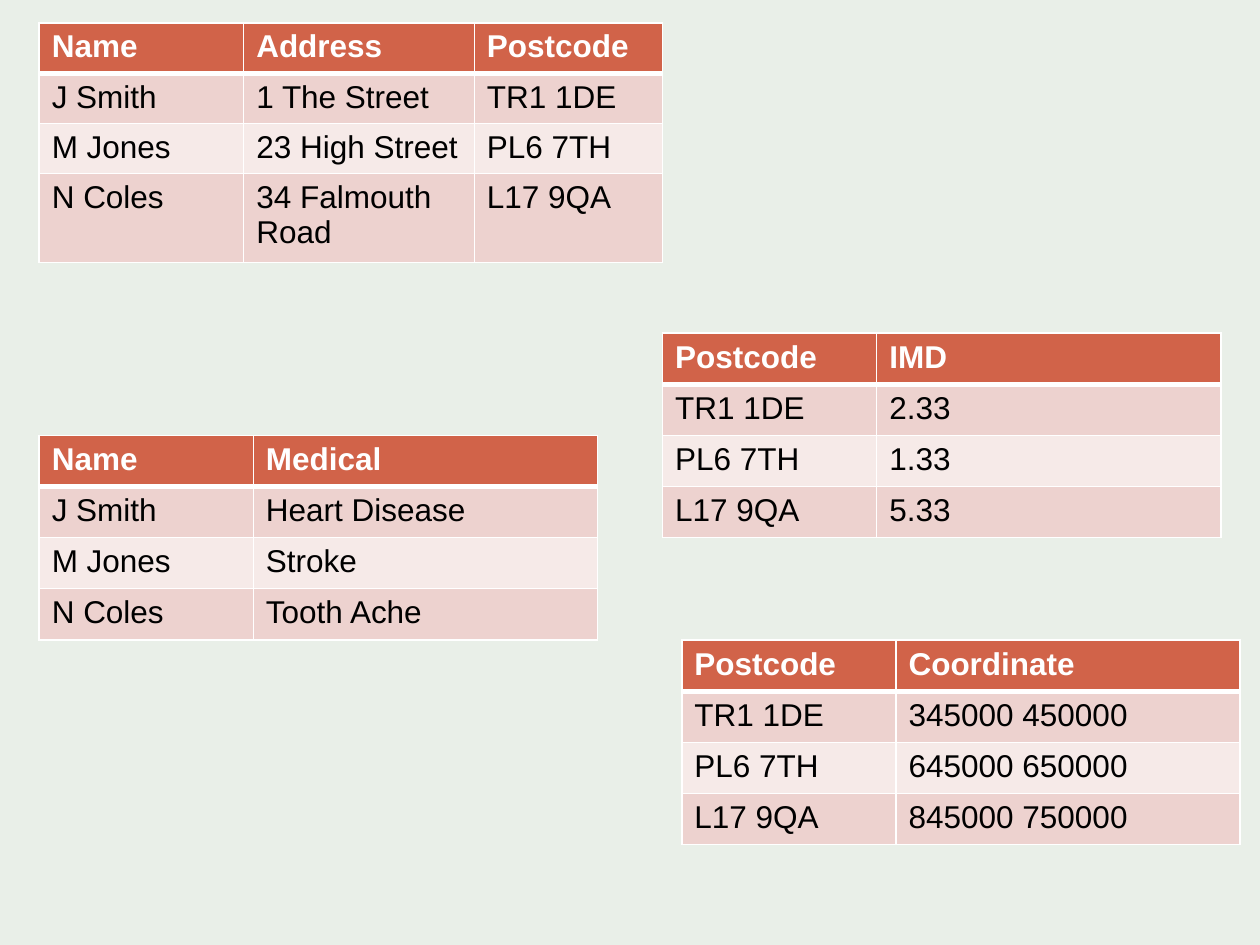
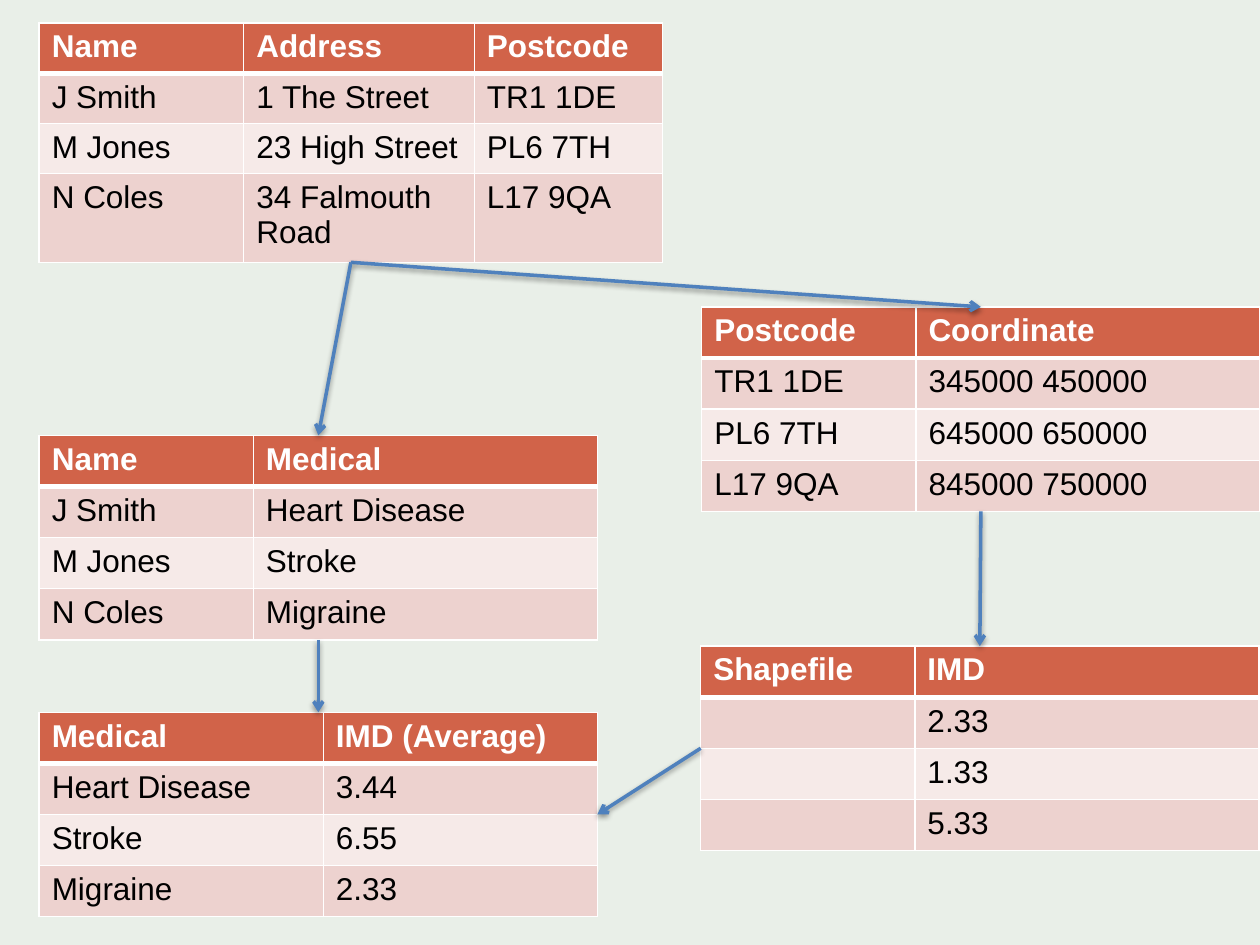
from dataclasses import dataclass, replace

from lxml.etree import SubElement
from pptx import Presentation
from pptx.dml.color import RGBColor
from pptx.enum.shapes import MSO_CONNECTOR
from pptx.oxml.ns import qn
from pptx.slide import Slide
from pptx.table import _Cell
from pptx.util import Pt


# Theme: colours, type sizes and line widths
@dataclass(frozen=True)
class Theme:
    background: str = "E9EFE8"
    header: str = "D16349"
    bands: tuple[str, str] = ("EDD2CF", "F6EAE8")
    header_text: str = "FFFFFF"
    body_text: str = "000000"
    border: str = "FFFFFF"
    arrow: str = "4F81BD"
    shadow: str = "000000"
    font: str = "Arial"
    size: float = 18
    thin: float = 0.96
    thick: float = 3
    arrow_width: float = 2


THEME = Theme()
Point = tuple[float, float]


# Repeated elements, all lengths in points
@dataclass(frozen=True)
class DataTable:
    left: float
    top: float
    cells: tuple[tuple[str, ...], ...]
    cols: tuple[float, ...] = (122.4, 196.6)
    rows: tuple[float, ...] = (29.2,) * 4

    @property
    def width(self) -> float:
        return sum(self.cols)

    @property
    def height(self) -> float:
        return sum(self.rows)

    def anchor(self, x: float, y: float) -> Point:
        """Point at the given fractions of the table's width and height."""
        return self.left + x * self.width, self.top + y * self.height


@dataclass(frozen=True)
class Arrow:
    start: Point
    end: Point


TOP, BOTTOM, LEFT, RIGHT = (0.5, 0), (0.5, 1), (0, 0.5), (1, 0.5)


def link(source: DataTable, side: Point, target: DataTable, target_side: Point) -> Arrow:
    return Arrow(source.anchor(*side), target.anchor(*target_side))


# Drawing functions
def put_text(cell: _Cell, text: str, *, color: str, bold: bool = False) -> None:
    r = cell.text_frame.paragraphs[0].add_run()
    r.text = text
    r.font.name = THEME.font
    r.font.size = Pt(THEME.size)
    r.font.bold = bold
    r.font.color.rgb = RGBColor.from_string(color)


def set_borders(cell: _Cell, top: float, bottom: float) -> None:
    widths = {"lnL": THEME.thin, "lnR": THEME.thin, "lnT": top, "lnB": bottom}
    tc_pr = cell._tc.get_or_add_tcPr()
    for tag, width in widths.items():
        ln = SubElement(tc_pr, qn(f"a:{tag}"), w=str(Pt(width)))
        fill = SubElement(ln, qn("a:solidFill"))
        SubElement(fill, qn("a:srgbClr"), val=THEME.border)


def draw_table(s: Slide, spec: DataTable) -> None:
    box = (Pt(v) for v in (spec.left, spec.top, spec.width, spec.height))
    table = s.shapes.add_table(len(spec.rows), len(spec.cols), *box).table
    table.horz_banding = False
    for column, width in zip(table.columns, spec.cols):
        column.width = Pt(width)
    for i, (row, height) in enumerate(zip(table.rows, spec.rows)):
        row.height = Pt(height)
        is_header = i == 0
        fill = THEME.header if is_header else THEME.bands[(i - 1) % 2]
        color = THEME.header_text if is_header else THEME.body_text
        for cell, text in zip(row.cells, spec.cells[i]):
            set_borders(cell, top=THEME.thick if i == 1 else THEME.thin,
                        bottom=THEME.thick if is_header else THEME.thin)
            cell.fill.solid()
            cell.fill.fore_color.rgb = RGBColor.from_string(fill)
            if text:
                put_text(cell, text, color=color, bold=is_header)


def draw_arrow(s: Slide, arrow: Arrow) -> None:
    ends = (Pt(v) for v in (*arrow.start, *arrow.end))
    sp = s.shapes.add_connector(MSO_CONNECTOR.STRAIGHT, *ends)
    sp.line.color.rgb = RGBColor.from_string(THEME.arrow)
    sp.line.width = Pt(THEME.arrow_width)
    SubElement(sp.line._get_or_add_ln(), qn("a:tailEnd"), type="arrow")
    # Soft shadow straight below the line
    effects = SubElement(sp._element.spPr, qn("a:effectLst"))
    shadow = SubElement(effects, qn("a:outerShdw"), blurRad=str(Pt(3.15)),
                        dist=str(Pt(1.57)), dir="5400000", rotWithShape="0")
    clr = SubElement(shadow, qn("a:srgbClr"), val=THEME.shadow)
    SubElement(clr, qn("a:alpha"), val="38000")


def add_slide(prs: Presentation, tables: list[DataTable], arrows: list[Arrow]) -> None:
    s = prs.slides.add_slide(prs.slide_layouts[6])
    for table in tables:
        draw_table(s, table)
    for arrow in arrows:
        draw_arrow(s, arrow)


# Content
NAMES = ("J Smith", "M Jones", "N Coles")
POSTCODES = ("TR1 1DE", "PL6 7TH", "L17 9QA")
IMD = ("2.33", "1.33", "5.33")
MARGIN = 22.4


def by_column(**columns: tuple[str, ...]) -> tuple[tuple[str, ...], ...]:
    return (tuple(columns), *zip(*columns.values()))


PEOPLE = DataTable(
    MARGIN, 13.2,
    by_column(Name=NAMES, Address=("1 The Street", "23 High Street", "34 Falmouth Road"),
              Postcode=POSTCODES),
    cols=(116.9, 131.8, 107.5), rows=(28.7, 28.7, 28.7, 50.6))
MEDICAL = DataTable(
    MARGIN, 248.8, by_column(Name=NAMES, Medical=("Heart Disease", "Stroke", "Tooth Ache")))
COORDINATES = DataTable(
    389.6, 365.8,
    by_column(Postcode=POSTCODES, Coordinate=("345000 450000", "645000 650000", "845000 750000")))
POSTCODE_IMD = DataTable(378.6, 190.4, by_column(Postcode=POSTCODES, IMD=IMD))

# Second slide: the tables joined step by step
ILLNESSES = ("Heart Disease", "Stroke", "Migraine")
JOINED_MEDICAL = replace(MEDICAL, cells=by_column(Name=NAMES, Medical=ILLNESSES))
JOINED_COORDINATES = replace(COORDINATES, left=401, top=175.4)
SHAPEFILE = DataTable(400.4, 369.2, by_column(Shapefile=("", "", ""), IMD=IMD))
AVERAGES = DataTable(
    MARGIN, 407,
    by_column(**{"Medical": ILLNESSES, "IMD (Average)": ("3.44", "6.55", "2.33")}),
    cols=(162.4, 156.6))


def main() -> None:
    prs = Presentation()
    prs.slide_width, prs.slide_height = Pt(720), Pt(540)
    background = prs.slide_master.background.fill
    background.solid()
    background.fore_color.rgb = RGBColor.from_string(THEME.background)

    # Slide 1: separate tables
    add_slide(prs, [PEOPLE, MEDICAL, COORDINATES, POSTCODE_IMD], [])

    # Slide 2: linked tables
    add_slide(prs, [PEOPLE, JOINED_MEDICAL, JOINED_COORDINATES, SHAPEFILE, AVERAGES], [
        link(PEOPLE, BOTTOM, JOINED_COORDINATES, TOP),
        link(JOINED_COORDINATES, BOTTOM, SHAPEFILE, TOP),
        link(PEOPLE, BOTTOM, JOINED_MEDICAL, TOP),
        link(JOINED_MEDICAL, BOTTOM, AVERAGES, TOP),
        link(SHAPEFILE, LEFT, AVERAGES, RIGHT),
    ])
    prs.save("out.pptx")


if __name__ == "__main__":
    main()
